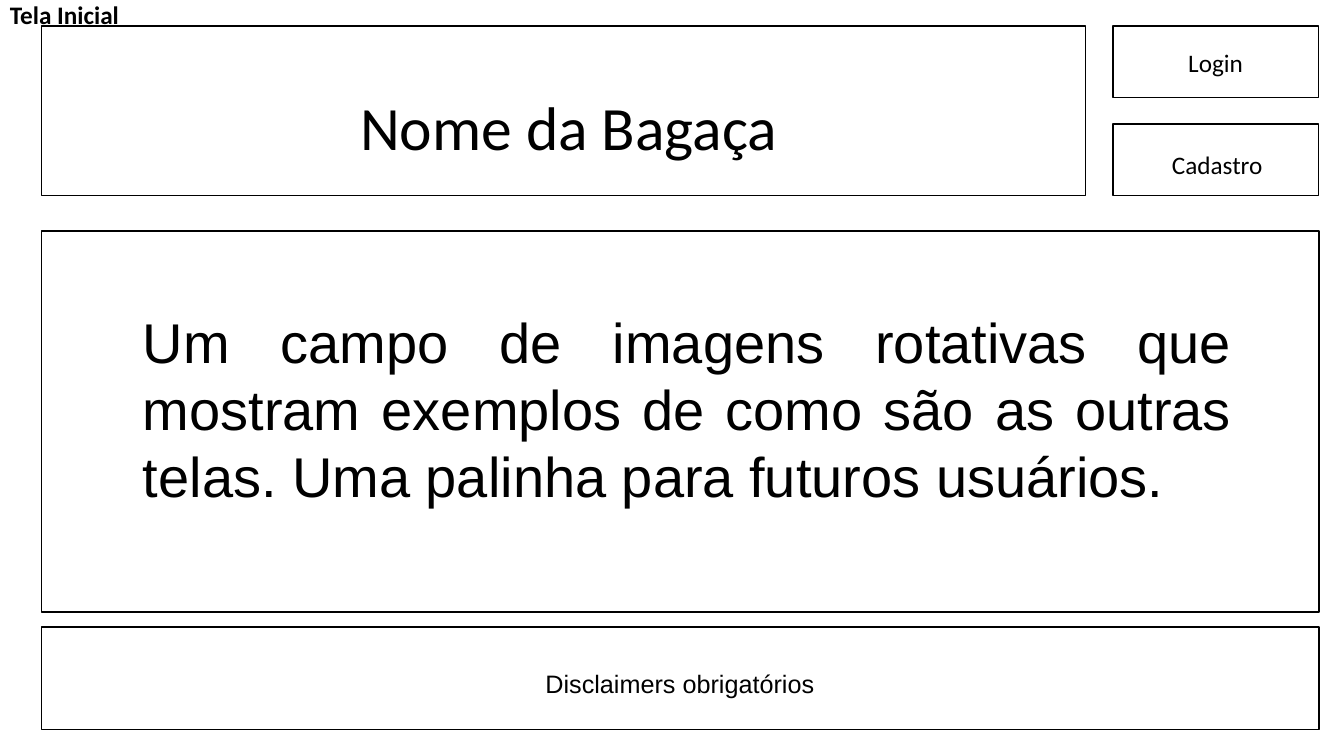
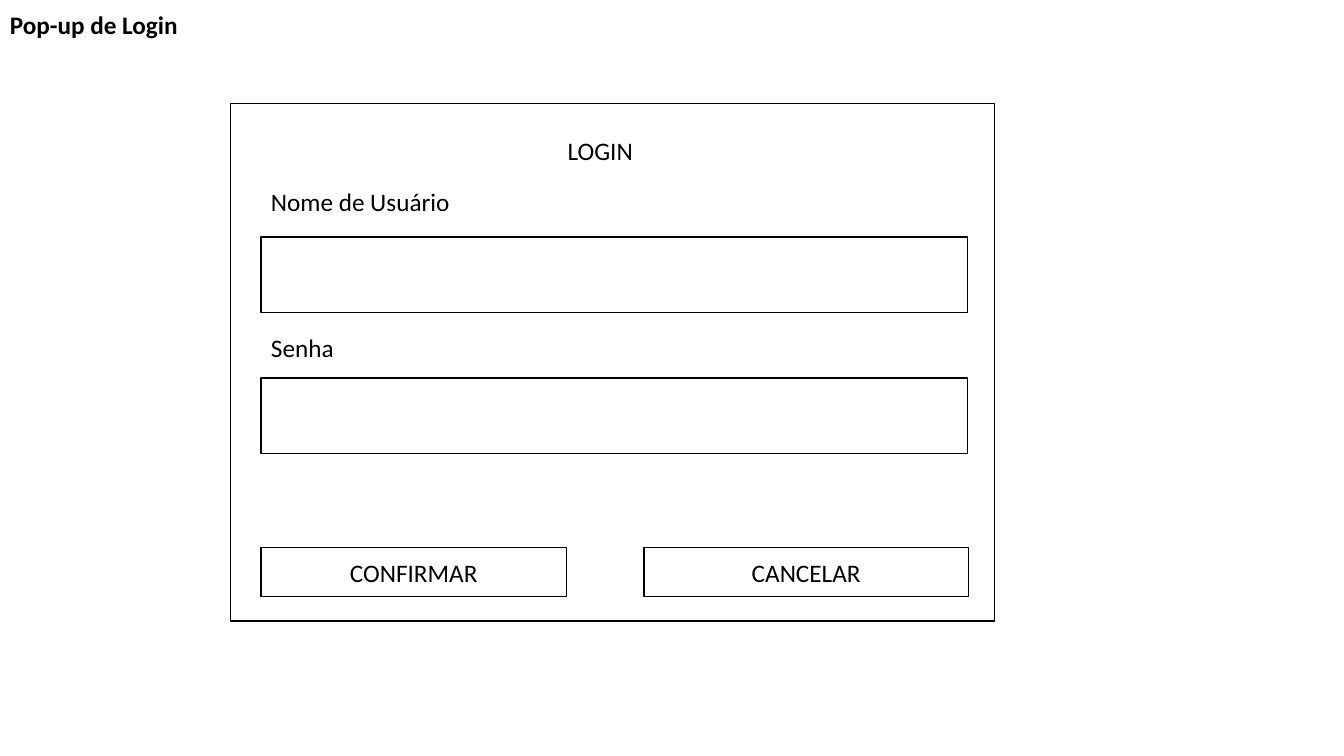
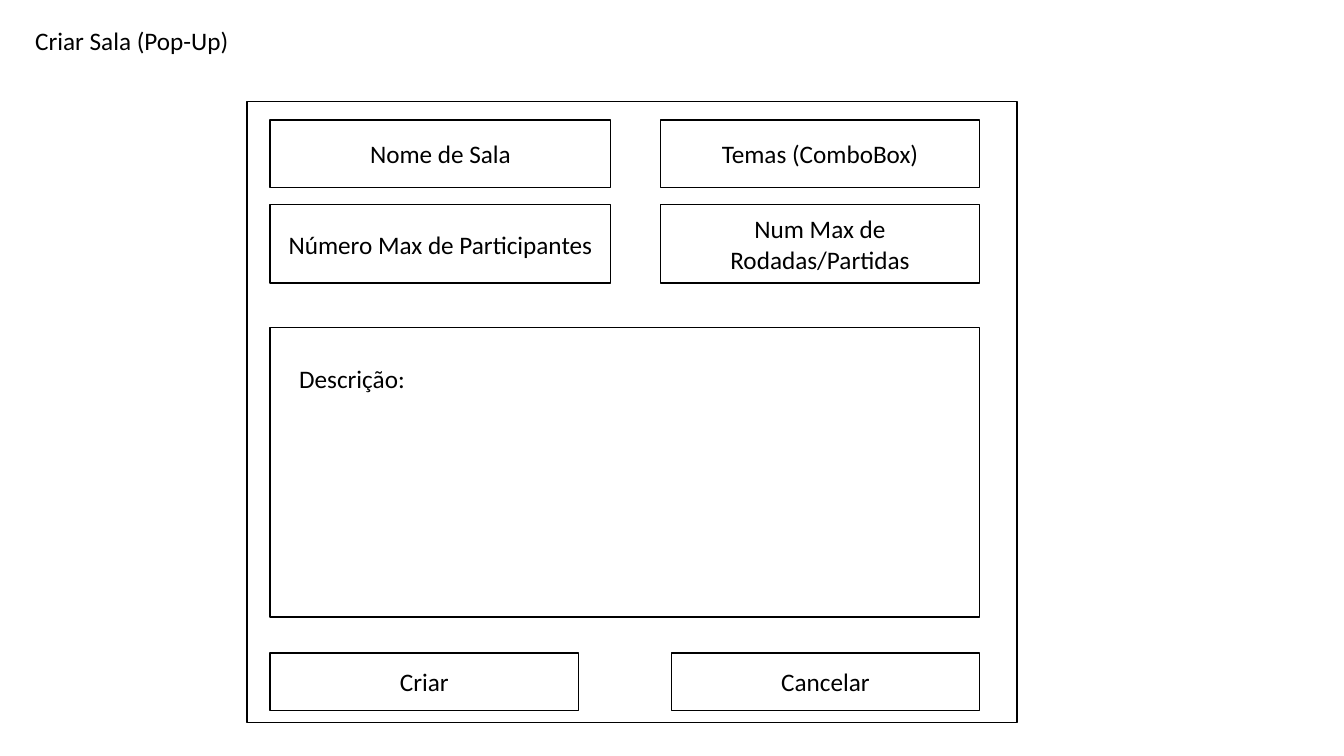
import dataclasses
import typing

import pptx
import pptx.dml.color
import pptx.enum.shapes
import pptx.enum.text
import pptx.slide
import pptx.text.text
import pptx.util

BLACK = pptx.dml.color.RGBColor(0x00, 0x00, 0x00)
WHITE = pptx.dml.color.RGBColor(0xFF, 0xFF, 0xFF)
SLIDE_WIDTH = pptx.util.Inches(13.33)
SLIDE_HEIGHT = pptx.util.Inches(7.5)
COLUMN = SLIDE_WIDTH / 80
ROW = SLIDE_HEIGHT / 75
LABEL_ROWS = 4
BLANK_LAYOUT = 6

LEFT = pptx.enum.text.PP_ALIGN.LEFT
CENTER = pptx.enum.text.PP_ALIGN.CENTER
JUSTIFY = pptx.enum.text.PP_ALIGN.JUSTIFY


class Area(typing.NamedTuple):
    column: float
    row: float
    columns: float
    rows: float = LABEL_ROWS

    def to_lengths(self) -> list[pptx.util.Emu]:
        lengths = (self.column * COLUMN, self.row * ROW, self.columns * COLUMN, self.rows * ROW)
        return [pptx.util.Emu(round(length)) for length in lengths]


@dataclasses.dataclass(frozen=True)
class Box:
    area: Area
    text: str = ""


@dataclasses.dataclass(frozen=True)
class Label:
    area: Area
    text: str
    alignment: pptx.enum.text.PP_ALIGN = LEFT
    size: int = 18
    font: str = "Calibri"
    bold: bool = False


def write_text(frame: pptx.text.text.TextFrame, label: Label) -> None:
    frame.word_wrap = True
    paragraph = frame.paragraphs[0]
    paragraph.text = label.text
    paragraph.alignment = label.alignment
    paragraph.font.name = label.font
    paragraph.font.size = pptx.util.Pt(label.size)
    paragraph.font.bold = label.bold
    paragraph.font.color.rgb = BLACK


def draw_box(slide: pptx.slide.Slide, box: Box) -> None:
    shape = slide.shapes.add_shape(
        pptx.enum.shapes.MSO_SHAPE.RECTANGLE, *box.area.to_lengths()
    )
    shape.shadow.inherit = False
    shape.fill.solid()
    shape.fill.fore_color.rgb = WHITE
    shape.line.color.rgb = BLACK
    shape.line.width = pptx.util.Pt(1)
    if box.text:
        shape.text_frame.vertical_anchor = pptx.enum.text.MSO_ANCHOR.MIDDLE
        write_text(shape.text_frame, Label(box.area, box.text, CENTER))


def draw_label(slide: pptx.slide.Slide, label: Label) -> None:
    text_box = slide.shapes.add_textbox(*label.area.to_lengths())
    write_text(text_box.text_frame, label)
    text_box.text_frame.auto_size = pptx.enum.text.MSO_AUTO_SIZE.SHAPE_TO_FIT_TEXT


def home_screen() -> list[Box | Label]:
    margin, top, full_width = 2.46, 2.6, 76.05
    button_column, button_width, button_height, button_step = 66.24, 12.24, 7.1, 9.7
    return [
        Box(Area(margin, top, 62.16, button_step + button_height)),
        Box(Area(margin, 22.9, full_width, 37.8)),
        Label(
            Area(7.92, 30, 65.94, 21.2),
            "Um campo de imagens rotativas que mostram exemplos de como são as outras telas. "
            "Uma palinha para futuros usuários.",
            JUSTIFY,
            size=40,
            font="Arial",
        ),
        Box(Area(margin, 62.2, full_width, 10.2)),
        Label(Area(3.96, 65.8, 73.02), "Disclaimers obrigatórios", CENTER, font="Arial"),
        Box(Area(button_column, top, button_width, button_height), "Login"),
        Box(Area(button_column, top + button_step, button_width, button_height)),
        Label(Area(67.92, 14.3, 9.06), "Cadastro", CENTER),
        Label(Area(5.04, 8.3, 57.66, 8.4), "Nome da Bagaça", CENTER, size=44),
        Label(Area(0, -0.6, 14.76), "Tela Inicial", bold=True),
    ]


def login_popup() -> list[Box | Label]:
    form_column, form_width, field_height = 15.54, 42.06, 7.5
    button_row, button_height = 54.3, 4.9
    return [
        Label(Area(0, 0.4, 16.62), "Pop-up de Login", bold=True),
        Box(Area(13.74, 10.3, 45.48, 51.3)),
        Box(Area(form_column, 23.5, form_width, field_height)),
        Label(Area(form_column, 18, 15.48), "Nome de Usuário"),
        Box(Area(form_column, 37.5, form_width, field_height)),
        Label(Area(form_column, 32.5, 14.16), "Senha"),
        Label(Area(25.74, 12.9, 19.98), "LOGIN", CENTER),
        Box(Area(form_column, button_row, 18.18, button_height), "CONFIRMAR"),
        Box(Area(38.34, button_row, 19.3, button_height), "CANCELAR"),
    ]


def room_popup() -> list[Box | Label]:
    form_column, form_width = 16.08, 42.24
    left_width, right_width, button_width = 20.28, 19.02, 18.36
    form_end = form_column + form_width
    field_rows = [
        (11.9, 6.7, left_width, right_width, "Nome de Sala", "Temas (ComboBox)"),
        (20.3, 7.8, left_width, right_width,
         "Número Max de Participantes", "Num Max de Rodadas/Partidas"),
        (64.8, 5.7, button_width, button_width, "Criar", "Cancelar"),
    ]
    pairs = [
        box
        for row, height, first_width, last_width, first_text, last_text in field_rows
        for box in (
            Box(Area(form_column, row, first_width, height), first_text),
            Box(Area(form_end - last_width, row, last_width, height), last_text),
        )
    ]
    return [
        Label(Area(1.5, 2, 14.58), "Criar Sala (Pop-Up)"),
        Box(Area(14.7, 10.1, 45.84, 61.6)),
        *pairs,
        Box(Area(form_column, 32.5, form_width, 28.7)),
        Label(Area(17.22, 35.6, 18.36), "Descrição:"),
    ]


def build_presentation() -> None:
    presentation = pptx.Presentation()
    presentation.slide_width = SLIDE_WIDTH
    presentation.slide_height = SLIDE_HEIGHT
    for screen in (home_screen(), login_popup(), room_popup()):
        slide = presentation.slides.add_slide(presentation.slide_layouts[BLANK_LAYOUT])
        for element in screen:
            if isinstance(element, Box):
                draw_box(slide, element)
            else:
                draw_label(slide, element)
    presentation.save("out.pptx")


build_presentation()
